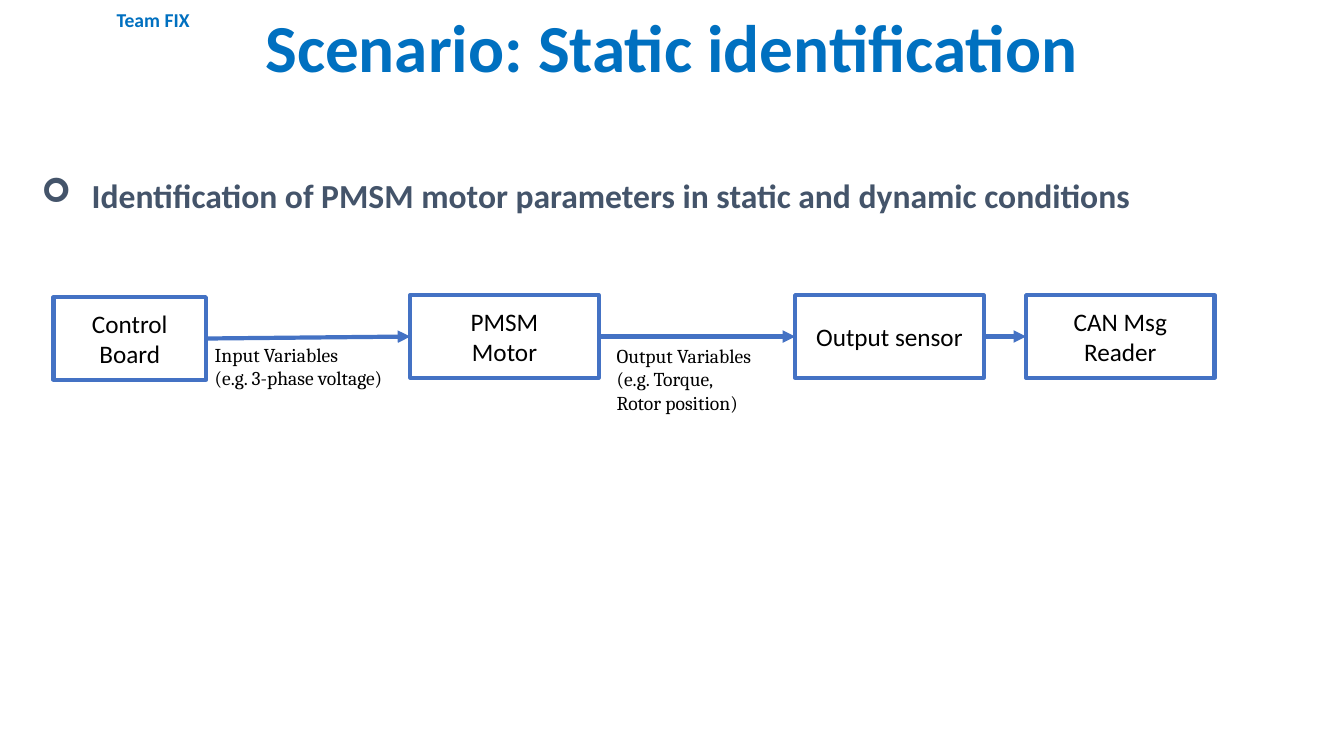
from itertools import pairwise

from lxml.etree import SubElement
from pptx import Presentation
from pptx.dml.color import RGBColor
from pptx.enum.shapes import MSO_CONNECTOR as Connector, MSO_SHAPE as Shape
from pptx.enum.text import MSO_ANCHOR as Anchor, MSO_AUTO_SIZE as AutoSize, PP_ALIGN as Align
from pptx.oxml.ns import qn
from pptx.util import Cm, Pt

COLORS = {
    "heading": "0070C0",
    "bullet": "44546A",
    "line": "4472C4",
    "box": "FFFFFF",
    "text": "000000",
}
FORMATS = {
    "tag": {"name": "Calibri", "size": Pt(14), "bold": True, "color": "heading"},
    "title": {"name": "Calibri", "size": Pt(48), "bold": True, "color": "heading"},
    "bullet": {"name": "Calibri", "size": Pt(24), "bold": True, "color": "bullet"},
    "block": {"name": "Calibri", "size": Pt(18), "bold": False, "color": "text"},
    "label": {"name": "Cambria", "size": Pt(14), "bold": False, "color": "text"},
}
BLOCKS = [
    (0, 0.05, 3.84, ["Control", "Board"]),
    (8.99, 0, 4.75, ["PMSM", "Motor"]),
    (18.69, 0, 4.75, ["Output sensor"]),
    (24.51, 0, 4.75, ["CAN Msg", "Reader"]),
]
LABELS = [
    (3.81, 1.07, 5.08, 1.45, ["Input Variables", "(e.g. 3-phase voltage)"]),
    (13.94, 1.09, 4.09, 2.06, ["Output Variables", "(e.g. Torque,", "Rotor position)"]),
]


def color(name):
    return RGBColor.from_string(COLORS[name])


def place(shape, left, top, width, height):
    values = {"left": left, "top": top, "width": width, "height": height}
    for name, value in values.items():
        setattr(shape, name, Cm(value))


def write(shape, lines, style, align=Align.LEFT, anchor=Anchor.TOP, wrap=False):
    frame = shape.text_frame
    frame.text = "\n".join(lines)
    frame_format = {
        "auto_size": AutoSize.NONE,
        "word_wrap": wrap,
        "vertical_anchor": anchor,
        "margin_left": Cm(0.25),
        "margin_right": Cm(0.25),
        "margin_top": Cm(0.13),
        "margin_bottom": Cm(0.13),
    }
    for name, value in frame_format.items():
        setattr(frame, name, value)
    for paragraph in frame.paragraphs:
        paragraph.alignment = align
        for run in paragraph.runs:
            for name, value in FORMATS[style].items():
                if name == "color":
                    run.font.color.rgb = color(value)
                else:
                    setattr(run.font, name, value)


def add_text(slide, box, lines, style):
    shape = slide.shapes.add_textbox(0, 0, 0, 0)
    place(shape, *box)
    write(shape, lines, style)


def add_title(slide, box):
    title = slide.shapes.title
    place(title, *box)
    write(title, ["Scenario: Static identification"], "title", Align.CENTER)


def add_bullet(slide, box):
    body = slide.placeholders[1]
    place(body, *box)
    text = "Identification of PMSM motor parameters in static and dynamic conditions"
    write(body, [text], "bullet", wrap=True)
    paragraph = body.text_frame.paragraphs[0]
    properties = paragraph._p.get_or_add_pPr()
    properties.set("marL", str(Cm(1.27)))
    properties.set("indent", str(-Cm(1.27)))
    SubElement(properties, qn("a:buFont"), typeface="Wingdings")
    SubElement(properties, qn("a:buChar"), char="➢")
    paragraph.line_spacing = 1.5
    paragraph.space_before = Pt(0)


def add_block(slide, box, lines):
    block = slide.shapes.add_shape(Shape.RECTANGLE, 0, 0, 0, 0)
    place(block, *box)
    block.shadow.inherit = False
    block.fill.solid()
    block.fill.fore_color.rgb = color("box")
    block.line.color.rgb = color("line")
    block.line.width = Pt(3)
    write(block, lines, "block", Align.CENTER, Anchor.MIDDLE, True)
    return block


def add_arrow(slide, source, target):
    arrow = slide.shapes.add_connector(Connector.STRAIGHT, 0, 0, 0, 0)
    arrow.begin_connect(source, 3)
    arrow.end_connect(target, 1)
    arrow.line.color.rgb = color("line")
    arrow.line.width = Pt(3)
    SubElement(arrow.line._get_or_add_ln(), qn("a:tailEnd"), type="triangle")
    SubElement(arrow._element.spPr, qn("a:effectLst"))


def add_flow(slide, left, top, block_height):
    blocks = [
        add_block(slide, (left + x, top + y, width, block_height), lines)
        for x, y, width, lines in BLOCKS
    ]
    for source, target in pairwise(blocks):
        add_arrow(slide, source, target)
    for x, y, width, height, lines in LABELS:
        add_text(slide, (left + x, top + y, width, height), lines, "label")


def main():
    presentation = Presentation()
    presentation.slide_width = Cm(33.87)
    presentation.slide_height = Cm(19.05)
    slide = presentation.slides.add_slide(presentation.slide_layouts[1])
    add_text(slide, (2.69, 0.08, 2.36, 0.86), ["Team FIX"], "tag")
    add_title(slide, (6.3, 0, 21.26, 2.31))
    add_bullet(slide, (0.79, 3.76, 31.65, 1.63))
    add_flow(slide, 1.35, 7.44, 2.08)
    presentation.save("out.pptx")


if __name__ == "__main__":
    main()
